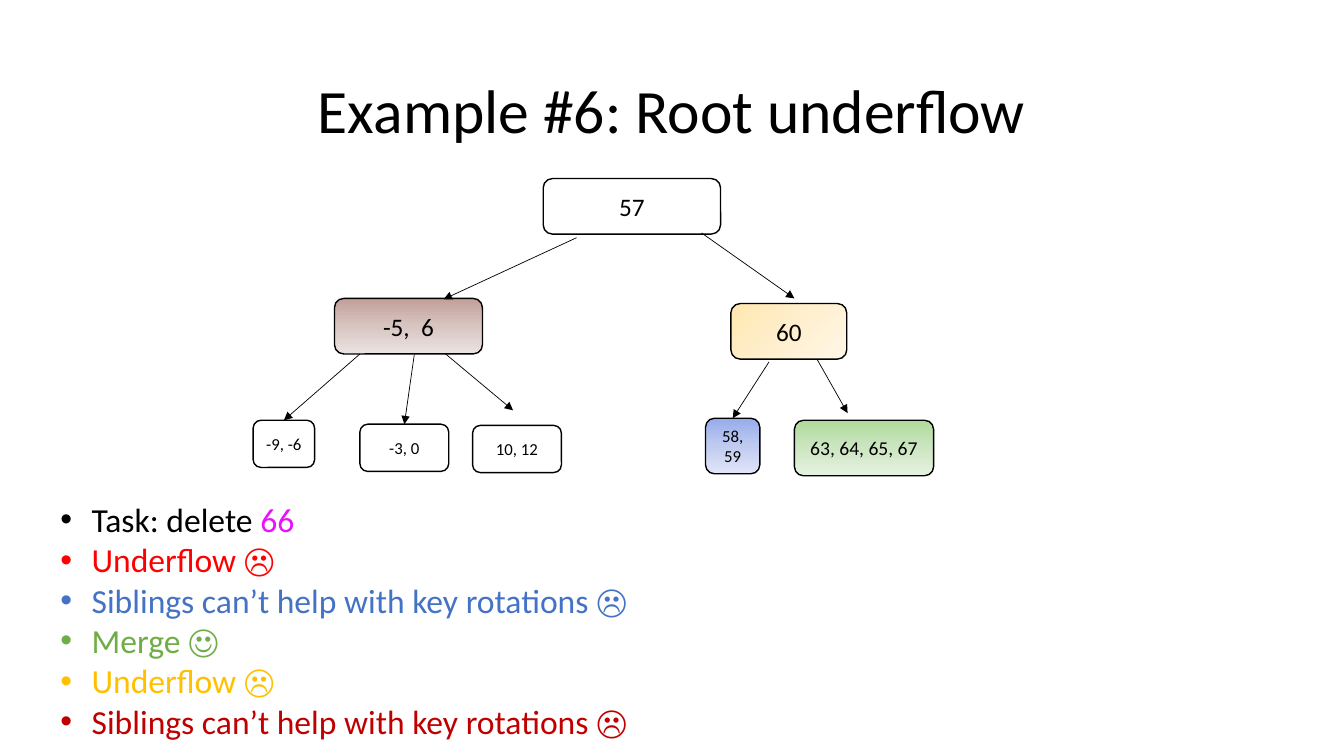
from copy import deepcopy
from dataclasses import dataclass

from lxml.etree import SubElement
from pptx import Presentation
from pptx.dml.color import RGBColor as RGB
from pptx.enum.shapes import MSO_CONNECTOR as CONN, MSO_SHAPE as SHAPE
from pptx.enum.text import MSO_ANCHOR as ANCHOR, MSO_AUTO_SIZE as AUTO, PP_ALIGN as ALIGN
from pptx.oxml.ns import qn
from pptx.util import Cm, Pt

FONT = "Calibri"
COLORS = {
    "black": "000000", "magenta": "E911F9", "red": "FF0000", "blue": "4472C4",
    "green": "70AD47", "gold": "FFC000", "crimson": "C00000",
}
GRADIENTS = {
    "brown": ("C29F98", "D8C5C1", "EBE3E1"),
    "yellow": ("FFE7AF", "FFEFCE", "FFF7E7"),
    "blue": ("96ABEA", "C0CBF0", "E0E5F7"),
    "green": ("AEDA9B", "CDE6C2", "E6F2E1"),
}


@dataclass
class Node:
    """A tree node: its keys, box in centimetres, text size and gradient."""

    keys: str
    x: float
    y: float
    w: float
    h: float = 1.4
    size: int = 18
    gradient: str = ""
    angle: int = 90


@dataclass
class Edge:
    """An arrow from a point to a point, or to the top of the node named by its keys."""

    start: tuple[float, float]
    end: tuple[float, float] | str


NODES = [
    Node("57", 13.69, 4.5, 4.47),
    Node("-5,  6", 8.43, 7.52, 3.73, gradient="brown"),
    Node("60", 18.42, 7.65, 2.92, gradient="yellow", angle=45),
    Node("-9, -6", 6.38, 10.59, 1.55, 1.19, 12),
    Node("-3, 0", 9.07, 10.69, 2.24, 1.19, 12),
    Node("10, 12", 11.91, 10.72, 2.24, 1.19, 12),
    Node("58, 59", 17.78, 10.54, 1.37, size=12, gradient="blue"),
    Node("63, 64, 65, 67", 20.02, 10.59, 3.51, size=14, gradient="green"),
]
EDGES = [
    Edge((14.53, 5.99), (11.18, 7.54)),
    Edge((17.68, 5.87), (20.02, 7.52)),
    Edge((9.07, 8.92), "-9, -6"),
    Edge((10.44, 8.94), "-3, 0"),
    Edge((11.23, 8.92), (12.93, 10.34)),
    Edge((19.38, 9.12), "58, 59"),
    Edge((20.6, 9.07), (21.36, 10.41)),
]
STEPS = [
    [("Task: delete ", "black"), ("66", "magenta")],
    [("Underflow ☹", "red")],
    [("Siblings can’t help with key rotations ☹", "blue")],
    [("Merge ☺", "green")],
    [("Underflow ☹", "gold")],
    [("Siblings can’t help with key rotations ☹", "crimson")],
]


def add_text(p, text: str, *, size: int, color: str = "black", align=None) -> None:
    """Append a formatted run to a paragraph."""
    r = p.add_run()
    r.text = text
    r.font.name = FONT
    r.font.size = Pt(size)
    r.font.color.rgb = RGB.from_string(COLORS[color])
    if align is not None:
        p.alignment = align


def fill_gradient(sp, colors: tuple[str, ...], angle: int) -> None:
    """Fill a shape with evenly spaced gradient stops at a clockwise angle."""
    sp.fill.gradient()
    sp.fill.gradient_angle = 360 - angle
    stop_list = sp._element.spPr.find(".//" + qn("a:gsLst"))
    stop_list.append(deepcopy(stop_list[0]))
    for i, (stop, color) in enumerate(zip(sp.fill.gradient_stops, colors)):
        stop.color.rgb = RGB.from_string(color)
        stop.position = i / (len(colors) - 1)


def draw_line(line, width: float) -> None:
    """Make an outline black with the given width in points."""
    line.color.rgb = RGB.from_string(COLORS["black"])
    line.width = Pt(width)


def add_node(s, node: Node):
    """Draw one tree node and return its shape."""
    box = map(Cm, (node.x, node.y, node.w, node.h))
    sp = s.shapes.add_shape(SHAPE.ROUNDED_RECTANGLE, *box)
    sp.shadow.inherit = False
    if node.gradient:
        fill_gradient(sp, GRADIENTS[node.gradient], node.angle)
    else:
        sp.fill.background()
    draw_line(sp.line, 1)
    tf = sp.text_frame
    tf.word_wrap = True
    tf.vertical_anchor = ANCHOR.MIDDLE
    add_text(tf.paragraphs[0], node.keys, size=node.size, align=ALIGN.CENTER)
    return sp


def add_edge(s, edge: Edge, boxes: dict) -> None:
    """Draw one arrow, joined to its child node where it names one."""
    joined = isinstance(edge.end, str)
    end = edge.start if joined else edge.end
    c = s.shapes.add_connector(CONN.STRAIGHT, *map(Cm, (*edge.start, *end)))
    if joined:
        c.end_connect(boxes[edge.end], 0)
    draw_line(c.line, 0.5)
    SubElement(c.line._get_or_add_ln(), qn("a:tailEnd"), type="triangle")
    SubElement(c._element.spPr, qn("a:effectLst"))


def add_title(s, text: str) -> None:
    """Place and format the title."""
    title = s.shapes.title
    title.left, title.top, title.width, title.height = map(Cm, (2.33, 1.01, 29.21, 3.68))
    tf = title.text_frame
    tf.auto_size = AUTO.NONE
    tf.vertical_anchor = ANCHOR.MIDDLE
    tf.paragraphs[0].line_spacing = 0.9
    add_text(tf.paragraphs[0], text, size=44, align=ALIGN.CENTER)


def add_steps(s, steps: list) -> None:
    """Write the bulleted steps below the tree."""
    tf = s.shapes.add_textbox(*map(Cm, (1.27, 12.45, 30.48, 6.4))).text_frame
    tf.word_wrap = True
    tf.auto_size = AUTO.SHAPE_TO_FIT_TEXT
    for i, step in enumerate(steps):
        p = tf.add_paragraph() if i else tf.paragraphs[0]
        pPr = p._p.get_or_add_pPr()
        pPr.set("marL", str(Cm(0.79)))
        pPr.set("indent", str(-Cm(0.79)))
        SubElement(pPr, qn("a:buFont"), typeface="Arial")
        SubElement(pPr, qn("a:buChar"), char="•")
        for text, color in step:
            add_text(p, text, size=24, color=color)


def main() -> None:
    """Build the slide and save it."""
    prs = Presentation()
    prs.slide_width, prs.slide_height = Cm(33.87), Cm(19.05)
    s = prs.slides.add_slide(prs.slide_layouts[5])
    add_title(s, "Example #6: Root underflow")
    boxes = {node.keys: add_node(s, node) for node in NODES}
    for edge in EDGES:
        add_edge(s, edge, boxes)
    add_steps(s, STEPS)
    prs.save("out.pptx")


if __name__ == "__main__":
    main()
